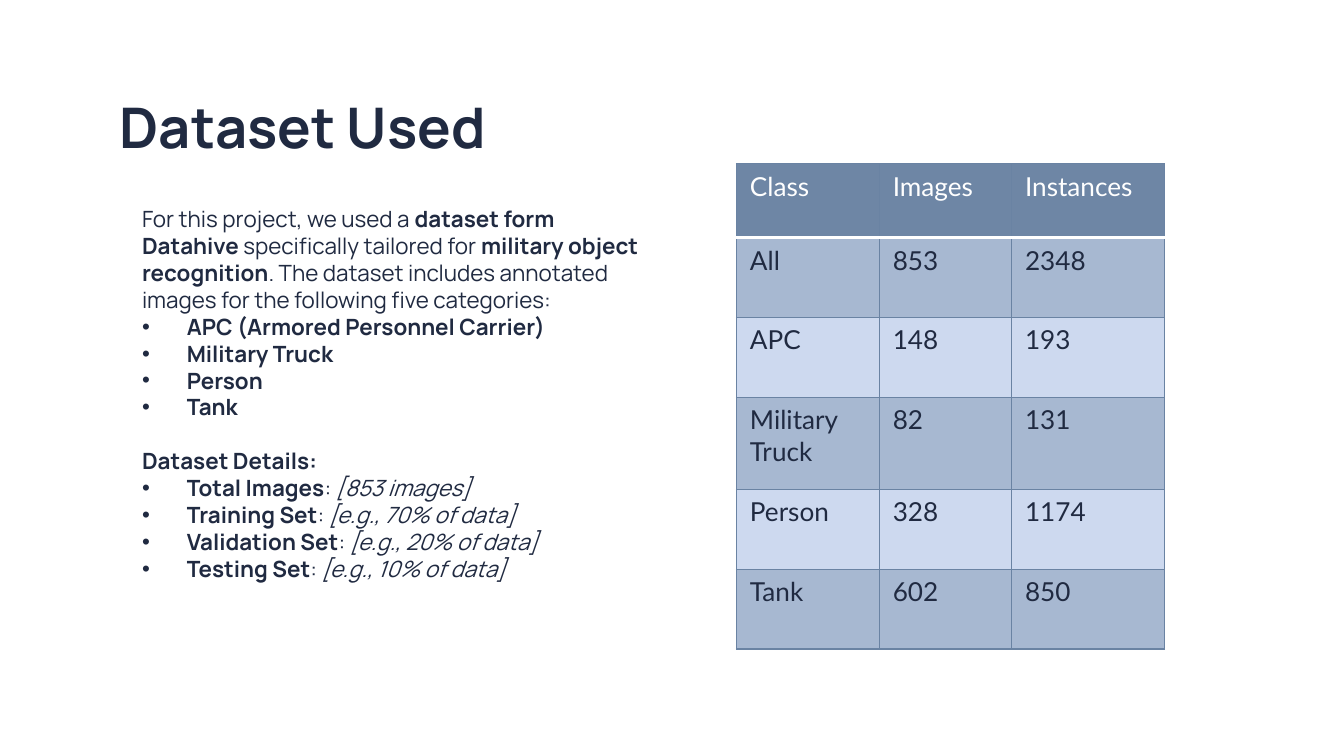
from dataclasses import dataclass

import pptx
import pptx.dml.color
import pptx.enum.text
import pptx.oxml
import pptx.oxml.ns
import pptx.util

WIDTH = pptx.util.Inches(10)
HEIGHT = WIDTH * 9 // 16
INK, WHITE = "202A41", "FFFFFF"
HEADER_BLUE, RULE_BLUE = "6E86A5", "6A83A3"
ROW_FILLS = ("A7B8D1", "CDD9EF")
LINE_PITCH = 14.4


@dataclass
class Span:
    text: str
    bold: bool = False
    italic: bool = False


@dataclass
class Line:
    spans: list[Span]
    bulleted: bool = False
    gap_lines: int = 0


@dataclass
class Area:
    """Left, top, width and height in percent of the slide."""
    left: float
    top: float
    width: float
    height: float


def across(percent: float) -> int:
    return round(WIDTH * percent / 100)


def down(percent: float) -> int:
    return round(HEIGHT * percent / 100)


def rgb(value: str) -> pptx.dml.color.RGBColor:
    return pptx.dml.color.RGBColor.from_string(value)


def add_run(paragraph, span: Span, font: str, size: float, colour: str) -> None:
    run = paragraph.add_run()
    run.text = span.text
    run.font.name, run.font.size = font, pptx.util.Pt(size)
    run.font.bold, run.font.italic = span.bold, span.italic
    run.font.color.rgb = rgb(colour)


def place(holder, area: Area):
    """Position a placeholder and return its prepared text frame."""
    holder.left, holder.top = across(area.left), down(area.top)
    holder.width, holder.height = across(area.width), down(area.height)
    frame = holder.text_frame
    frame.word_wrap = True
    frame.auto_size = pptx.enum.text.MSO_AUTO_SIZE.NONE
    frame.vertical_anchor = pptx.enum.text.MSO_ANCHOR.TOP
    frame.margin_left = frame.margin_right = pptx.util.Inches(0.1)
    frame.margin_top = frame.margin_bottom = pptx.util.Inches(0.1)
    return frame


def indent(paragraph, bulleted: bool) -> None:
    properties = paragraph._p.get_or_add_pPr()
    properties.set("marL", str(across(5 if bulleted else 1.67)))
    properties.set("indent", str(across(-3.33 if bulleted else 0)))
    if bulleted:
        namespace = pptx.oxml.ns.nsdecls("a")
        for xml in (f'<a:buClr {namespace}><a:srgbClr val="{INK}"/></a:buClr>',
                    f'<a:buChar {namespace} char="•"/>'):
            properties.append(pptx.oxml.parse_xml(xml))


def write_lines(frame, lines: list[Line]) -> None:
    for number, line in enumerate(lines):
        paragraph = frame.add_paragraph() if number else frame.paragraphs[0]
        indent(paragraph, line.bulleted)
        paragraph.alignment = pptx.enum.text.PP_ALIGN.LEFT
        paragraph.line_spacing = pptx.util.Pt(LINE_PITCH)
        paragraph.space_before = pptx.util.Pt(LINE_PITCH * line.gap_lines)
        for span in line.spans:
            add_run(paragraph, span, "Manrope", 12, INK)


def set_borders(cell, top: tuple, bottom: tuple) -> None:
    """Draw the cell's edges, each a colour and a width in points."""
    side = (RULE_BLUE, 0.75)
    edges = {"lnL": side, "lnR": side, "lnT": top, "lnB": bottom}
    properties = cell._tc.get_or_add_tcPr()
    for position, (tag, (colour, width)) in enumerate(edges.items()):
        properties.insert(position, pptx.oxml.parse_xml(
            f'<a:{tag} {pptx.oxml.ns.nsdecls("a")} w="{pptx.util.Pt(width)}">'
            f'<a:solidFill><a:srgbClr val="{colour}"/></a:solidFill></a:{tag}>'))


def add_class_table(slide, area: Area, columns: list[float],
                    rows: list[float], records: list[tuple]) -> None:
    table = slide.shapes.add_table(
        len(rows), len(columns), across(area.left), down(area.top),
        across(area.width), down(area.height)).table
    table.first_row = table.horz_banding = False
    for column, share in zip(table.columns, columns):
        column.width = across(share)
    for row, share in zip(table.rows, rows):
        row.height = down(share)

    thin, header_rule = (RULE_BLUE, 0.75), (WHITE, 2)
    for r, record in enumerate(records):
        for c, value in enumerate(record):
            cell = table.cell(r, c)
            cell.fill.solid()
            cell.fill.fore_color.rgb = rgb(ROW_FILLS[(r - 1) % 2] if r else HEADER_BLUE)
            set_borders(cell, header_rule if r == 1 else thin,
                        thin if r else header_rule)
            add_run(cell.text_frame.paragraphs[0], Span(str(value)),
                    "Lato", 14, INK if r else WHITE)


INTRODUCTION = [
    Line([Span("For this project, we used a "), Span("dataset form", bold=True)]),
    Line([Span("Datahive", bold=True), Span(" specifically tailored for "),
          Span("military object", bold=True)]),
    Line([Span("recognition", bold=True), Span(". The dataset includes annotated")]),
    Line([Span("images for the following five categories:")]),
]
CATEGORIES = ["APC (Armored Personnel Carrier)", "Military Truck", "Person", "Tank"]
DETAILS = {
    "Total Images": "[853 images]",
    "Training Set": "[e.g., 70% of data]",
    "Validation Set": "[e.g., 20% of data]",
    "Testing Set": "[e.g., 10% of data]",
}
RECORDS = [
    ("Class", "Images", "Instances"),
    ("All", 853, 2348),
    ("APC", 148, 193),
    ("Military Truck", 82, 131),
    ("Person", 328, 1174),
    ("Tank", 602, 850),
]


def main() -> None:
    deck = pptx.Presentation()
    deck.slide_width, deck.slide_height = WIDTH, HEIGHT
    slide = deck.slides.add_slide(deck.slide_layouts[0])

    # Title
    heading = place(slide.shapes.title, Area(7.9, 10.5, 84.3, 11.2)).paragraphs[0]
    heading.alignment = pptx.enum.text.PP_ALIGN.LEFT
    add_run(heading, Span("Dataset Used", bold=True), "Manrope", 30, INK)

    # Description with its two lists
    description = place(slide.placeholders[1], Area(7.9, 25.4, 44.6, 69.5))
    write_lines(description, [
        *INTRODUCTION,
        *(Line([Span(name, bold=True)], bulleted=True) for name in CATEGORIES),
        Line([Span("Dataset Details:", bold=True)], gap_lines=1),
        *(Line([Span(name, bold=True), Span(": "), Span(amount, italic=True)],
               bulleted=True) for name, amount in DETAILS.items()),
    ])

    # Image and instance counts per class
    columns = [10.63, 9.84, 11.4]
    rows = [9.8, 10.55, 10.55, 12.2, 10.55, 10.55]
    add_class_table(slide, Area(54.8, 21.65, sum(columns), sum(rows)),
                    columns, rows, RECORDS)

    deck.save("out.pptx")


if __name__ == "__main__":
    main()
